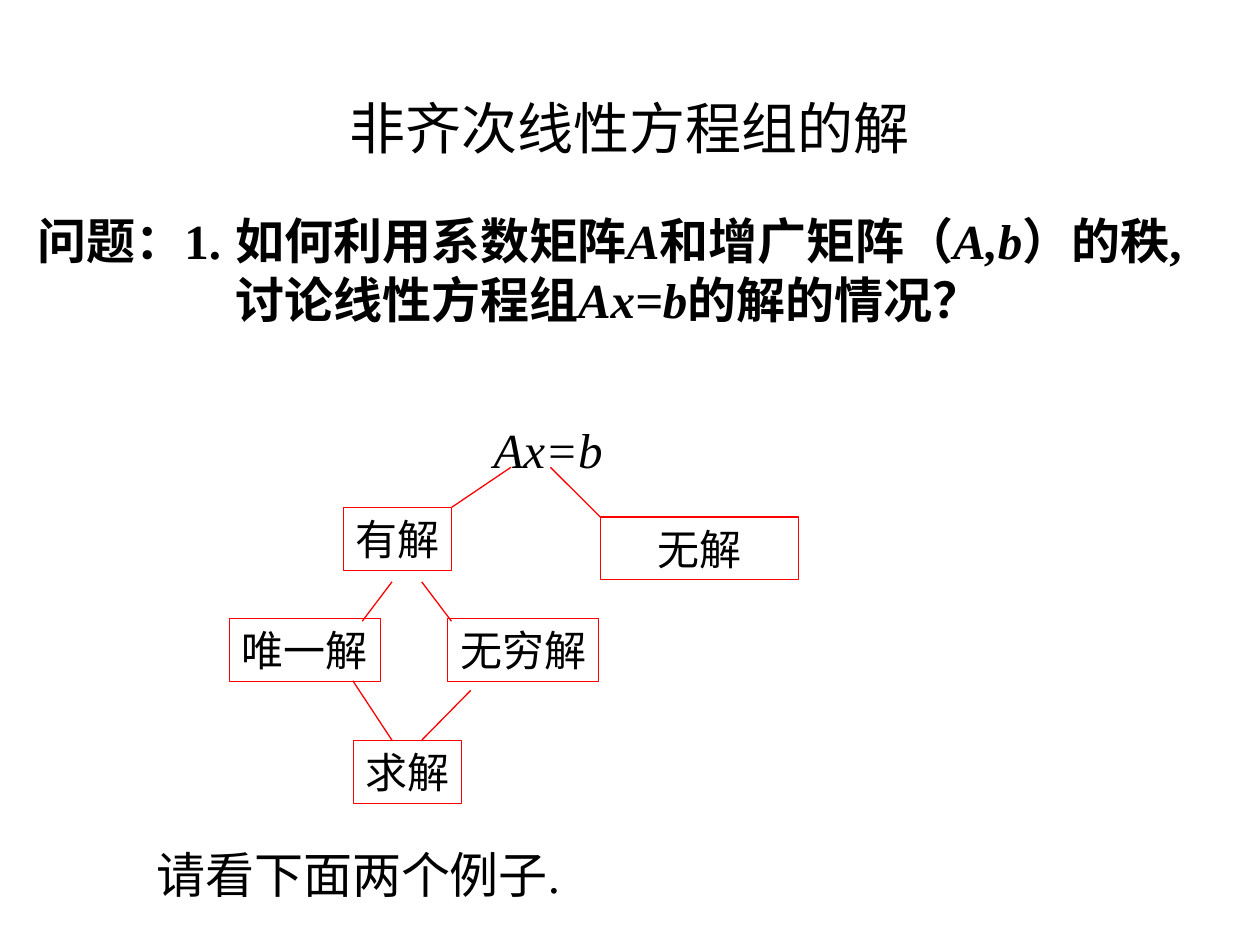
from dataclasses import dataclass

from lxml.etree import SubElement
from pptx import Presentation
from pptx.dml.color import RGBColor
from pptx.enum.shapes import MSO_CONNECTOR, MSO_SHAPE
from pptx.enum.text import MSO_ANCHOR, MSO_AUTO_SIZE, PP_ALIGN
from pptx.oxml.ns import qn
from pptx.util import Pt

FONT = "Times New Roman"
BLACK, RED = "000000", "FF0000"
LINE_WIDTH = 0.75
BOX_HEIGHT = 36


@dataclass
class Part:
    text: str
    italic: bool = False


@dataclass
class Label:
    lines: list[list[Part]]
    left: float
    top: float
    width: float
    height: float
    bold: bool = False
    align: PP_ALIGN = PP_ALIGN.CENTER
    wrap: bool = False


@dataclass
class Outcome:
    text: str
    left: float
    top: float
    width: float
    wrap: bool = False


@dataclass
class Branch:
    x1: float
    y1: float
    x2: float
    y2: float


def color(value: str) -> RGBColor:
    return RGBColor.from_string(value)


def write(frame, lines: list[list[Part]], size: float, align: PP_ALIGN,
          bold: bool = False, wrap: bool = True) -> None:
    frame.word_wrap = wrap
    frame.vertical_anchor = MSO_ANCHOR.TOP
    frame.text = "\n" * (len(lines) - 1)
    for paragraph, parts in zip(frame.paragraphs, lines):
        paragraph.alignment = align
        for part in parts:
            run = paragraph.add_run()
            run.text = part.text
            run.font.name = FONT
            run.font.size = Pt(size)
            run.font.bold = bold
            run.font.italic = part.italic
            run.font.color.rgb = color(BLACK)


def draw_label(slide, label: Label) -> None:
    box = slide.shapes.add_textbox(Pt(label.left), Pt(label.top),
                                   Pt(label.width), Pt(label.height))
    write(box.text_frame, label.lines, 28, label.align, label.bold, label.wrap)
    box.text_frame.auto_size = MSO_AUTO_SIZE.SHAPE_TO_FIT_TEXT


def draw_outcome(slide, outcome: Outcome) -> None:
    box = slide.shapes.add_shape(MSO_SHAPE.RECTANGLE, Pt(outcome.left), Pt(outcome.top),
                                 Pt(outcome.width), Pt(BOX_HEIGHT))
    box.shadow.inherit = False
    box.fill.background()
    box.line.color.rgb = color(RED)
    box.line.width = Pt(LINE_WIDTH)
    write(box.text_frame, [[Part(outcome.text)]], 24, PP_ALIGN.CENTER, wrap=outcome.wrap)


def draw_branch(slide, branch: Branch) -> None:
    line = slide.shapes.add_connector(MSO_CONNECTOR.STRAIGHT, Pt(branch.x1), Pt(branch.y1),
                                      Pt(branch.x2), Pt(branch.y2))
    line.line.color.rgb = color(RED)
    line.line.width = Pt(LINE_WIDTH)
    SubElement(line._element.spPr, qn("a:effectLst"))


LABELS = [
    Label([[Part("Ax=b", True)]], 275, 236, 76.5, 41),
    Label([[Part("问题：1.")]], 14.4, 116.6, 132, 41,
          bold=True, align=PP_ALIGN.LEFT, wrap=True),
    Label([[Part("如何利用系数矩阵"), Part("A", True), Part("和增广矩阵（"),
            Part("A,b", True), Part("）的秩,")],
           [Part("讨论线性方程组"), Part("Ax=b", True), Part("的解的情况？")]],
          127.5, 116.6, 570, 108, bold=True, align=PP_ALIGN.LEFT, wrap=True),
    Label([[Part("请看下面两个例子.")]], 79, 479, 251.5, 41),
]

OUTCOMES = [
    Outcome("有解", 196.2, 290, 62),
    Outcome("无解", 343, 295.4, 113.2, wrap=True),
    Outcome("唯一解", 131, 353.6, 86.4),
    Outcome("无穷解", 255.7, 353.6, 86.4),
    Outcome("求解", 201.8, 423.2, 62),
]

BRANCHES = [
    # Equation to solvable or not
    Branch(292, 267, 258, 290),
    Branch(314.5, 267, 343, 295.4),
    # Solvable to unique or infinitely many
    Branch(224, 332.5, 207, 355),
    Branch(241, 332.5, 258, 355),
    # Both to solving
    Branch(201.6, 389, 224, 423),
    Branch(269, 394.5, 241, 423),
]


def main() -> None:
    prs = Presentation()
    prs.slide_width, prs.slide_height = Pt(720), Pt(540)
    slide = prs.slides.add_slide(prs.slide_layouts[5])

    # Title
    title = slide.shapes.title
    title.left, title.top, title.width, title.height = Pt(36), Pt(50), Pt(648), Pt(90)
    write(title.text_frame, [[Part("非齐次线性方程组的解")]], 32, PP_ALIGN.CENTER)

    # Decision tree
    for outcome in OUTCOMES:
        draw_outcome(slide, outcome)
    for branch in BRANCHES:
        draw_branch(slide, branch)

    # Question, equation and closing remark
    for label in LABELS:
        draw_label(slide, label)

    prs.save("out.pptx")


if __name__ == "__main__":
    main()
